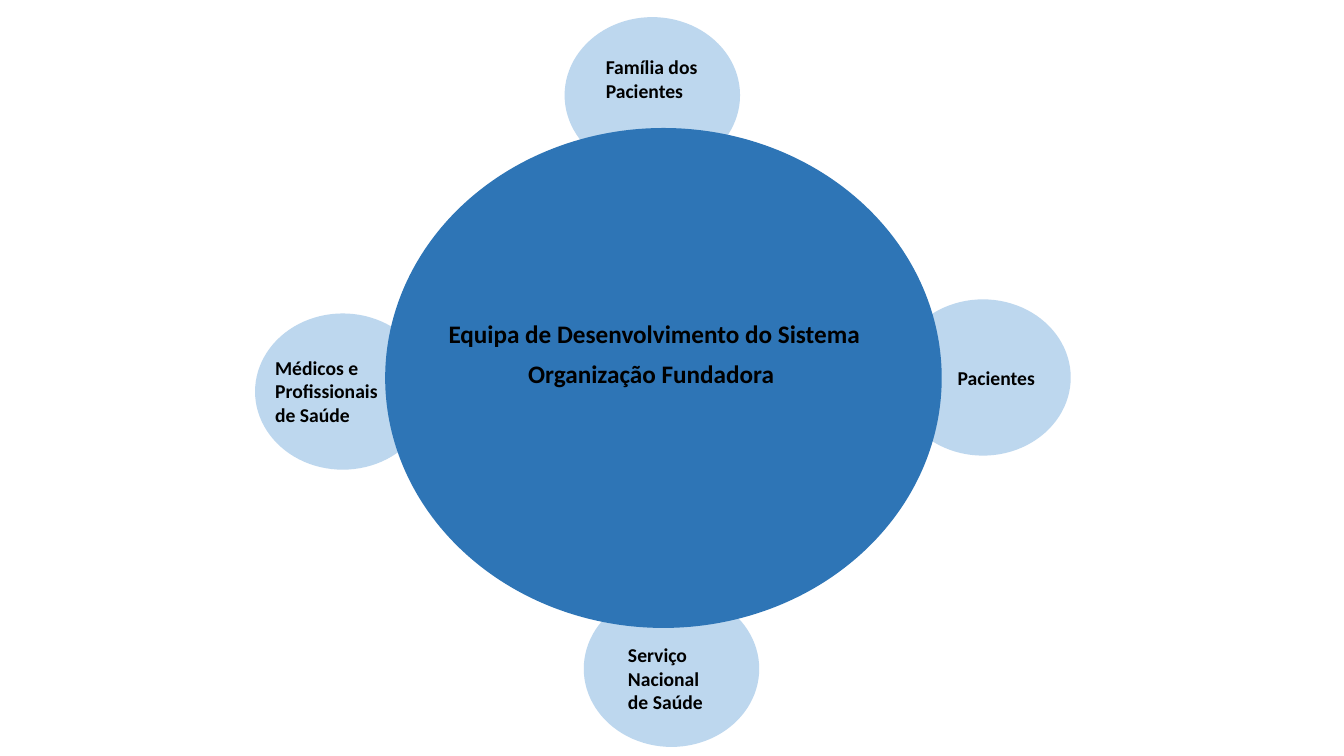
import pptx
import pptx.util
import pptx.dml.color
import pptx.enum.shapes

Inches = pptx.util.Inches
RGBColor = pptx.dml.color.RGBColor

CORE_BLUE = RGBColor(0x2E, 0x75, 0xB6)
PALE_BLUE = RGBColor(0xBD, 0xD7, 0xEE)
BLACK = RGBColor(0, 0, 0)

# Left, top, width, height in inches
CORE = (3.82, 1.27, 5.52, 4.96)
STAKEHOLDER_SIZE = (1.74, 1.55)

# Label, circle position, label box
STAKEHOLDERS = [
    ("Serviço Nacional de Saúde", (5.79, 5.86), (6.13, 6.33, 1.08, 0.81)),
    ("Médicos e Profissionais de Saúde", (2.53, 3.11), (2.63, 3.48, 1.28, 0.81)),
    ("Pacientes", (8.88, 2.97), (9.4, 3.58, 1.3, 0.34)),
    ("Família dos Pacientes", (5.6, 0.17), (5.91, 0.5, 1.12, 0.57)),
]
CORE_LABELS = [
    ("Equipa de Desenvolvimento do Sistema", (4.35, 3.11, 4.61, 0.4)),
    ("Organização Fundadora", (5.14, 3.51, 2.67, 0.4)),
]


def add_circle(s, box, color):
    oval = pptx.enum.shapes.MSO_SHAPE.OVAL
    sp = s.shapes.add_shape(oval, *map(Inches, box))
    sp.shadow.inherit = False
    sp.fill.solid()
    sp.fill.fore_color.rgb = color
    sp.line.fill.background()


def add_label(s, text, box, size):
    tf = s.shapes.add_textbox(*map(Inches, box)).text_frame
    tf.word_wrap = True
    r = tf.paragraphs[0].add_run()
    r.text = text
    r.font.name = "Calibri"
    r.font.size = pptx.util.Pt(size)
    r.font.bold = True
    r.font.color.rgb = BLACK


def main():
    prs = pptx.Presentation()
    prs.slide_width, prs.slide_height = Inches(13.33), Inches(7.5)
    s = prs.slides.add_slide(prs.slide_layouts[6])

    for _, position, _ in STAKEHOLDERS:
        add_circle(s, position + STAKEHOLDER_SIZE, PALE_BLUE)
    add_circle(s, CORE, CORE_BLUE)

    for text, box in CORE_LABELS:
        add_label(s, text, box, 18)
    for text, _, box in STAKEHOLDERS:
        add_label(s, text, box, 14)

    prs.save("out.pptx")


if __name__ == "__main__":
    main()
